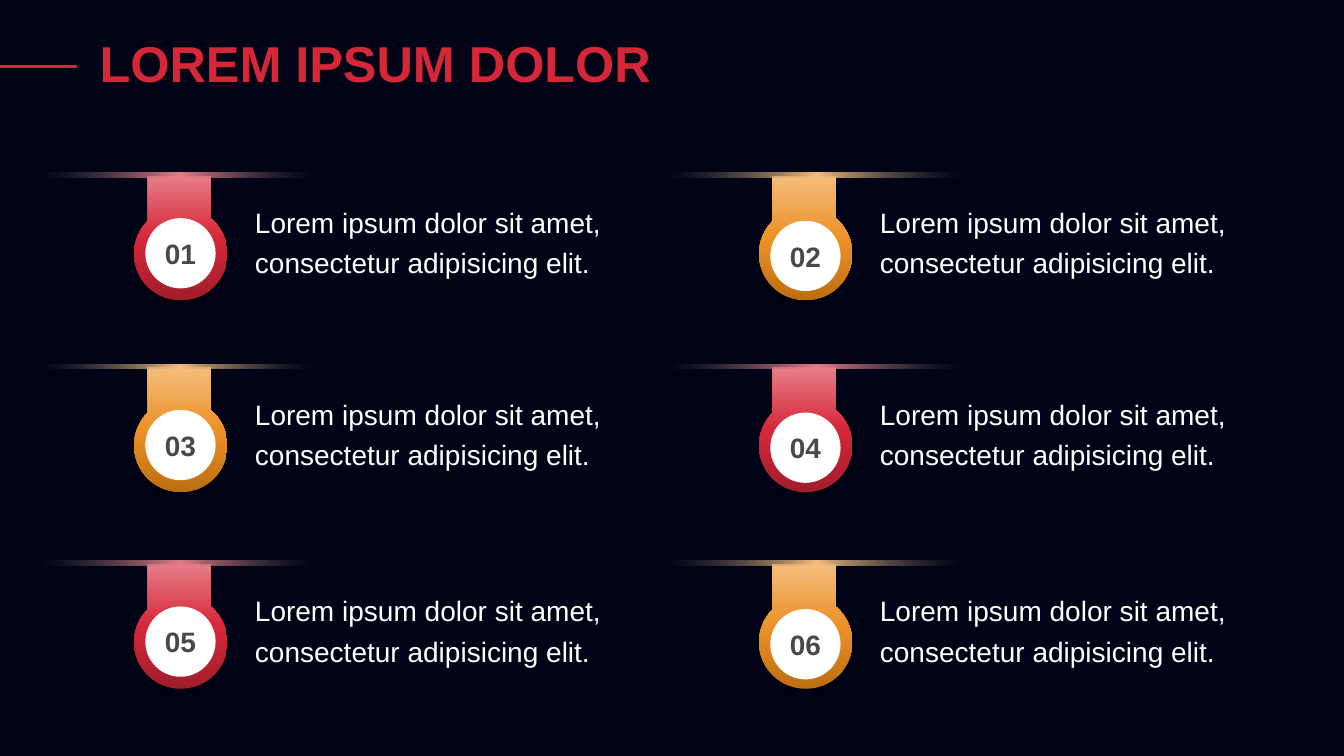
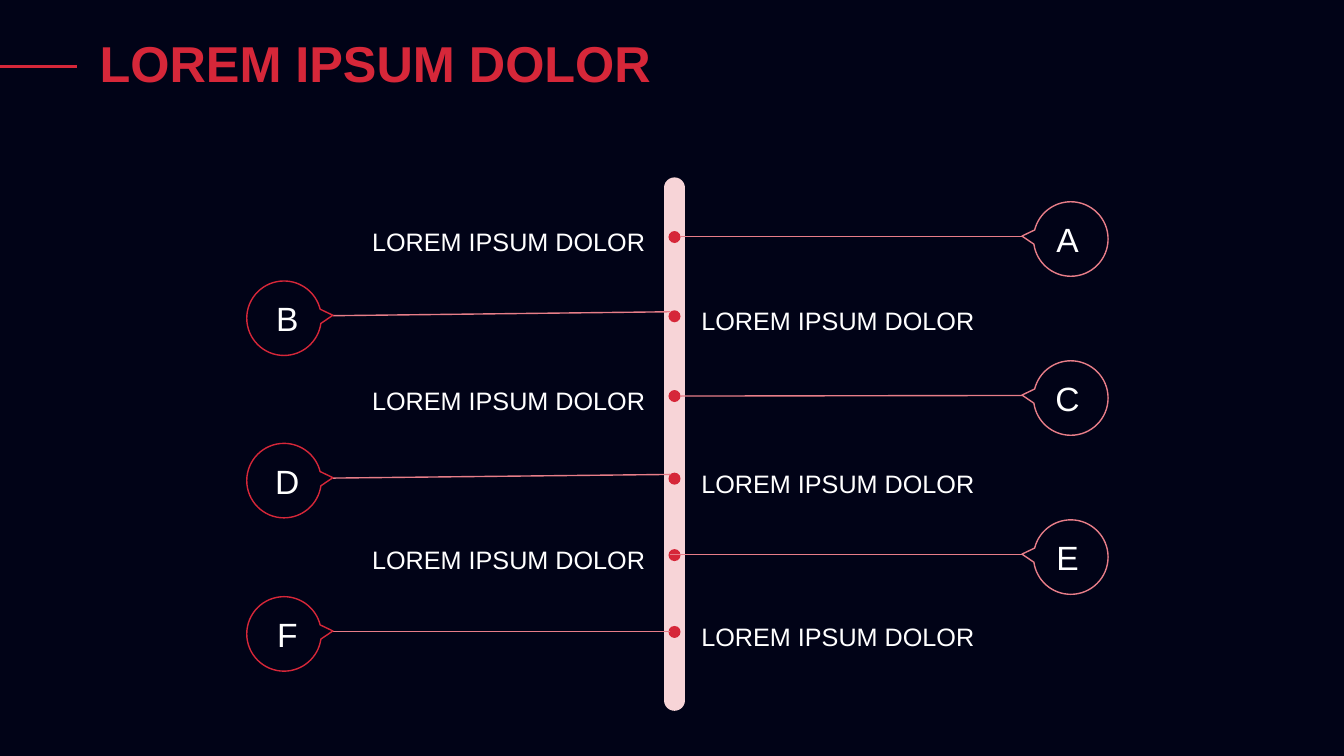
"""Build two dark slides: numbered pins and a lettered timeline."""
import math
from dataclasses import dataclass
from itertools import pairwise

from lxml import etree
from pptx import Presentation, util as u
from pptx.dml import color as dml_color
from pptx.enum import shapes, text
from pptx.oxml import ns
from pptx.presentation import Presentation as Deck
from pptx.shapes import autoshape, base, connector, shapetree
from pptx.slide import Slide

FONT = "Arial"
NAVY, WHITE, GREY, CLEAR = "010317", "FFFFFF", "494949", "5F5F5F"
RED, PINK, BLUSH = "D62739", "E77D88", "F7D4D7"
HEADING = "LOREM IPSUM DOLOR"
PIN_TEXT = "Lorem ipsum dolor sit amet, consectetur adipisicing elit."
TITLE_ONLY = 5
Point = tuple[float, float]


@dataclass(frozen=True)
class Tone:
    """Three shades of a pin, from its foot up."""

    dark: str
    middle: str
    light: str


@dataclass(frozen=True)
class PinColumn:
    """Horizontal places of one column of pins."""

    left: float
    badge_drop: float
    beam_left: float
    beam_width: float


@dataclass(frozen=True)
class Stop:
    """One lettered stop on the timeline."""

    letter: str
    y: float
    side: int
    line_x: float
    line_rise: float = 0.4


TONES = (Tone("A01D2B", RED, PINK), Tone("BD6E11", "EC9126", "F4BD7D"))
PIN_ROWS = (125.4, 262.4, 402.8)
PIN_COLUMNS = (PinColumn(95.8, 30.4, 30.2, 195.8), PinColumn(542.2, 32.3, 476.6, 213.8))
SPINE_X = 481.8
STOPS = (
    Stop("A", 169.3, 1, 486),
    Stop("B", 225.9, -1, 478.8, 3.2),
    Stop("C", 282.9, 1, 486, 0),
    Stop("D", 341.9, -1, 478.8, 3),
    Stop("E", 396.5, 1, 478.8),
    Stop("F", 451.4, -1, 478.8),
)


def rgb(value: str) -> dml_color.RGBColor:
    """Turn a hex string into a colour."""
    return dml_color.RGBColor.from_string(value)


def write(box: base.BaseShape, wording: str, *, size: float, color: str = WHITE,
          bold: bool = False, align: text.PP_ALIGN = text.PP_ALIGN.LEFT,
          spacing: float = 1.0, wrap: bool = True,
          margins: tuple[float, float, float, float] = (7.2, 3.6, 7.2, 3.6)) -> None:
    """Fill a shape with one formatted paragraph, centred in height."""
    frame = box.text_frame
    frame.word_wrap = wrap
    frame.auto_size = text.MSO_AUTO_SIZE.NONE
    frame.vertical_anchor = text.MSO_ANCHOR.MIDDLE
    (frame.margin_left, frame.margin_top,
     frame.margin_right, frame.margin_bottom) = map(u.Pt, margins)
    para = frame.paragraphs[0]
    para.alignment = align
    para.line_spacing = spacing
    span = para.add_run()
    span.text = wording
    span.font.name = FONT
    span.font.size = u.Pt(size)
    span.font.bold = bold
    span.font.color.rgb = rgb(color)


def add_text(canvas: shapetree.GroupShapes, left: float, top: float, width: float,
             height: float, wording: str, **style) -> None:
    """Add a text box."""
    write(canvas.add_textbox(*map(u.Pt, (left, top, width, height))), wording, **style)


def add_solid(canvas: shapetree._BaseGroupShapes, kind: shapes.MSO_SHAPE, left: float,
              top: float, width: float, height: float, color: str) -> autoshape.Shape:
    """Add a preset shape with a plain fill and no outline."""
    shape = canvas.add_shape(kind, *map(u.Pt, (left, top, width, height)))
    shape.shadow.inherit = False
    shape.fill.solid()
    shape.fill.fore_color.rgb = rgb(color)
    shape.line.fill.background()
    return shape


def add_line(canvas: shapetree._BaseGroupShapes, start: Point, end: Point,
             color: str, weight: float) -> connector.Connector:
    """Add a straight line without a shadow."""
    line = canvas.add_connector(shapes.MSO_CONNECTOR.STRAIGHT, *map(u.Pt, start + end))
    line.line.color.rgb = rgb(color)
    line.line.width = u.Pt(weight)
    etree.SubElement(line._element.spPr, ns.qn("a:effectLst"))
    return line


def arc(center: Point, radius: float, angles: list[float], side: int = 1) -> list[Point]:
    """List a start point, then two handles and an end for each Bezier piece."""
    def place(angle: float, pull: float = 0) -> Point:
        """Find a point on the circle, moved along its tangent."""
        across, down = math.cos(angle), math.sin(angle)
        return (center[0] + side * radius * (across - pull * down),
                center[1] + radius * (down + pull * across))

    turns = [math.radians(angle) for angle in angles]
    points = [place(turns[0])]
    for start, end in pairwise(turns):
        pull = 4 / 3 * math.tan((end - start) / 4)
        points += [place(start, pull), place(end, -pull), place(end)]
    return points


def add_outline(canvas: shapetree.GroupShapes, corners: list[Point],
                curve: list[Point]) -> autoshape.Shape:
    """Add a closed freeform of straight corners followed by a curve."""
    first, *others = [(u.Pt(x), u.Pt(y)) for x, y in corners + curve]
    builder = canvas.build_freeform(*first)
    builder.add_line_segments(others, close=True)
    shape = builder.convert_to_shape()
    shape.shadow.inherit = False
    segments = shape._element.xpath(".//a:path/a:lnTo")[len(corners):]
    for index in range(0, len(segments), 3):
        bend = etree.Element(ns.qn("a:cubicBezTo"))
        segments[index].addprevious(bend)
        for segment in segments[index:index + 3]:
            bend.append(segment[0])
            segment.getparent().remove(segment)
    return shape


def add_color(parent: etree._Element, color: str, opacity: int) -> None:
    """Append a colour with an opacity in percent."""
    node = etree.SubElement(parent, ns.qn("a:srgbClr"), val=color)
    if opacity < 100:
        etree.SubElement(node, ns.qn("a:alpha"), val=str(opacity * 1000))


def set_gradient(shape: autoshape.Shape, angle: float,
                 stops: list[tuple[int, str, int]]) -> None:
    """Fill a shape with position, colour and opacity stops."""
    shape.fill.gradient()
    shape.fill.gradient_angle = angle
    stop_list = shape._element.xpath("./p:spPr/a:gradFill/a:gsLst")[0]
    for old_stop in list(stop_list):
        stop_list.remove(old_stop)
    for position, color, opacity in stops:
        node = etree.SubElement(stop_list, ns.qn("a:gs"), pos=str(position * 1000))
        add_color(node, color, opacity)


def add_shadow(shape: autoshape.Shape) -> None:
    """Give a shape a soft shadow straight below it."""
    effects = shape._element.spPr.find(ns.qn("a:effectLst"))
    shadow = etree.SubElement(effects, ns.qn("a:outerShdw"), blurRad=str(u.Pt(4)),
                              dist=str(u.Pt(3)), dir="5400000", algn="t", rotWithShape="0")
    add_color(shadow, "000000", 40)


def add_page(deck: Deck) -> Slide:
    """Add a slide with the shared title."""
    page = deck.slides.add_slide(deck.slide_layouts[TITLE_ONLY])
    title = page.shapes.title
    title.left, title.top, title.width, title.height = map(u.Pt, (66.2, 13.7, 828, 67.7))
    write(title, HEADING, size=36, color=RED, bold=True, spacing=0.9, margins=(5, 3, 5, 3))
    return page


def share_backdrop(deck: Deck) -> None:
    """Give the master its background and the layout its title line."""
    backdrop = deck.slide_master.background.fill
    backdrop.solid()
    backdrop.fore_color.rgb = rgb(NAVY)
    line = add_line(deck.slides[0].shapes, (0, 47.5), (55, 47.5), RED, 2.25)
    deck.slide_layouts[TITLE_ONLY].shapes._spTree.append(line._element)


def draw_pin(page: Slide, column: PinColumn, top: float, number: int, tone: Tone) -> None:
    """Draw a hanging pin with its number, beam and text."""
    canvas = page.shapes.add_group_shape().shapes
    left = column.left
    add_text(canvas, left + 79.2, top + 1.4, 308.2, 87.8, PIN_TEXT, size=20, spacing=1.2)
    bulb = arc((left + 33.3, top + 55.9), 33.3, [-50, 0, 90, 180, 225])
    pin = add_outline(canvas, [(bulb[-1][0], top), (bulb[0][0], top)], bulb)
    pin.line.fill.background()
    set_gradient(pin, 90, [(0, tone.dark, 100), (50, tone.middle, 100),
                           (100, tone.light, 100)])
    add_shadow(pin)
    badge = add_solid(canvas, shapes.MSO_SHAPE.OVAL, left + 8, top + column.badge_drop,
                      50.2, 50.2, WHITE)
    write(badge, f"{number:02}", size=20, color=GREY, bold=True,
          align=text.PP_ALIGN.CENTER, wrap=False, margins=(0, 0, 0, 0))
    beam = add_solid(canvas, shapes.MSO_SHAPE.RECTANGLE, column.beam_left, top - 2.1,
                     column.beam_width, 3.2, tone.light)
    set_gradient(beam, 180, [(2, CLEAR, 0), (50, tone.light, 100), (100, CLEAR, 0)])


def draw_stop(page: Slide, stop: Stop) -> None:
    """Draw a timeline dot with its line, lettered callout and label."""
    canvas = page.shapes.add_group_shape().shapes
    on_right = stop.side > 0
    add_solid(canvas, shapes.MSO_SHAPE.OVAL, SPINE_X - 4.3, stop.y - 4.3, 8.6, 8.6, RED)
    center = (764.9 if on_right else 202.9, stop.y + 1.4)
    tip = (center[0] - stop.side * 34.9, stop.y - 0.7)
    add_line(canvas, (stop.line_x, stop.y - stop.line_rise), (tip[0], stop.y - 0.4), PINK, 1)
    ring = arc(center, 26.6, [172, 90, 0, -90, -166], stop.side)
    callout = add_outline(canvas, [tip], ring)
    callout.fill.background()
    callout.line.color.rgb = rgb(PINK if on_right else RED)
    callout.line.width = u.Pt(1)
    write(callout, stop.letter, size=24, align=text.PP_ALIGN.CENTER,
          margins=(3.6, 0, 0, 0) if on_right else (0, 0, 3.6, 0))
    add_text(canvas, 133.9 if on_right else 493.9, stop.y - 31.7, 334, 63.4, HEADING,
             size=18, spacing=1.3,
             align=text.PP_ALIGN.RIGHT if on_right else text.PP_ALIGN.LEFT)


def build_pins(deck: Deck) -> None:
    """Build the slide of six numbered pins."""
    page = add_page(deck)
    for row, top in enumerate(PIN_ROWS):
        for index, column in enumerate(PIN_COLUMNS):
            number = row * len(PIN_COLUMNS) + index + 1
            draw_pin(page, column, top, number, TONES[(row + index) % 2])


def build_timeline(deck: Deck) -> None:
    """Build the slide of six stops along an upright bar."""
    page = add_page(deck)
    spine = add_solid(page.shapes, shapes.MSO_SHAPE.ROUNDED_RECTANGLE, SPINE_X - 7.5, 126.7,
                      15, 381, BLUSH)
    spine.adjustments[0] = 0.5
    for stop in STOPS:
        draw_stop(page, stop)


def main() -> None:
    """Build and save the deck."""
    deck = Presentation()
    deck.slide_width, deck.slide_height = u.Pt(960), u.Pt(540)
    build_pins(deck)
    build_timeline(deck)
    share_backdrop(deck)
    deck.save("out.pptx")


if __name__ == "__main__":
    main()
